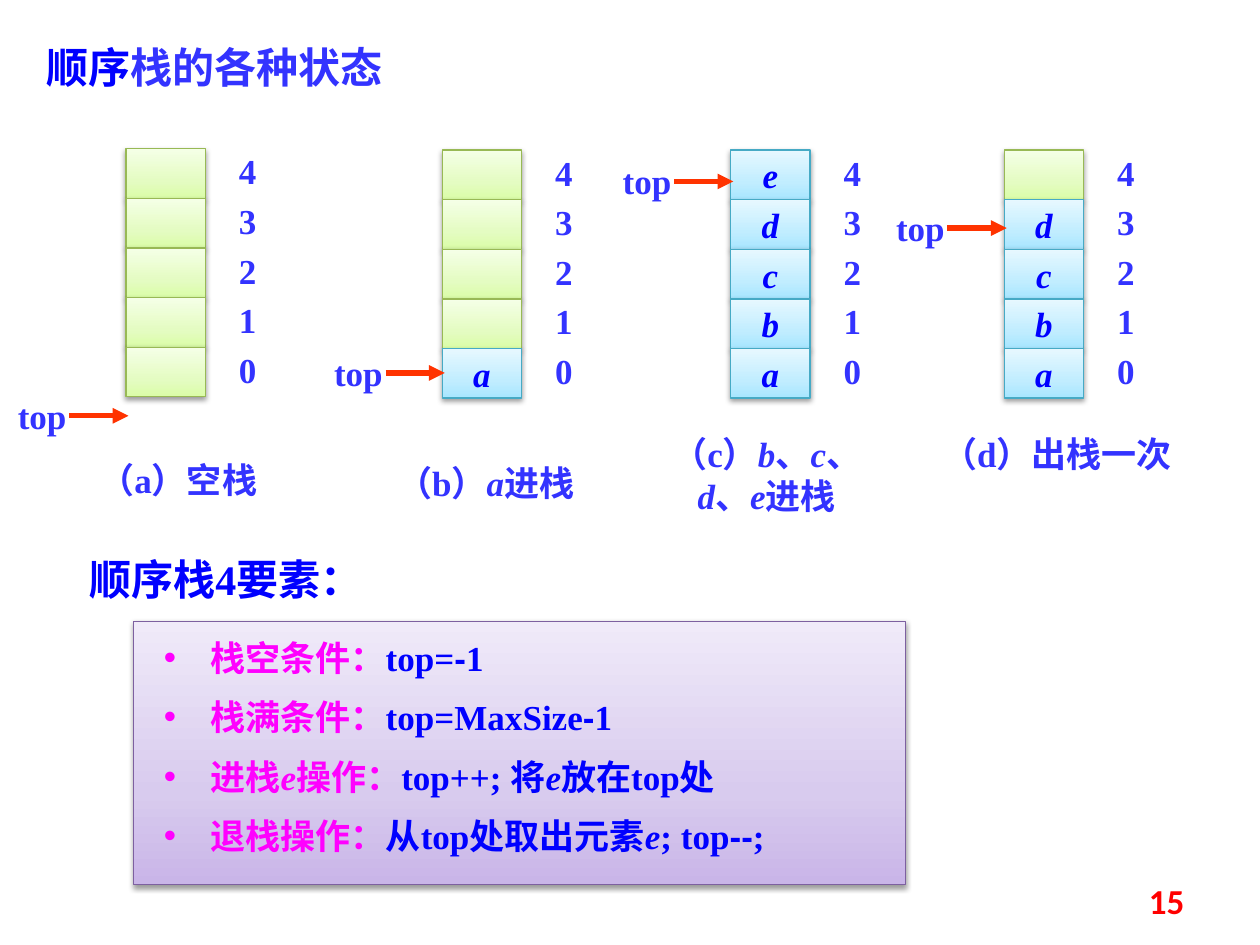
from lxml import etree
from pptx import Presentation
from pptx.dml.color import RGBColor
from pptx.enum.shapes import MSO_CONNECTOR as Connector, MSO_SHAPE as Shape
from pptx.enum.text import MSO_ANCHOR as Anchor, MSO_AUTO_SIZE as AutoSize, PP_ALIGN as Align
from pptx.oxml import parse_xml
from pptx.oxml.ns import nsdecls, qn
from pptx.util import Inches, Pt

BLUE = RGBColor(0x00, 0x00, 0xFF)
INDIGO = RGBColor(0x33, 0x33, 0xFF)
MAGENTA = RGBColor(0xFF, 0x00, 0xFF)
ORANGE = RGBColor(0xFF, 0x33, 0x00)
RED = RGBColor(0xFF, 0x00, 0x00)
# Each style: line colour, then gradient stops at 0, 35 and 100 percent
GREEN_STYLE = [RGBColor.from_string(c) for c in ("98B955", "DAFDA7", "E4FCC2", "F5FFE7")]
CYAN_STYLE = [RGBColor.from_string(c) for c in ("46AAC5", "A7E6FF", "C1EDFF", "E7F8FF")]
PURPLE_STYLE = [RGBColor.from_string(c) for c in ("7D60A0", "C9B5E8", "D8CBEE", "F0EAF9")]
SERIF = "Times New Roman"
HAN = "Noto Sans CJK SC"

deck = Presentation()
deck.slide_width, deck.slide_height = Inches(10), Inches(7.5)
page = deck.slides.add_slide(deck.slide_layouts[6])


def write(box, paragraphs, size=20, color=INDIGO, font=SERIF, bold=True,
          align=Align.CENTER, anchor=Anchor.TOP, insets=(0.1, 0.05), bullet=False,
          wrap=True, grow=True):
    """Fill a box; a paragraph is a list of (text, overrides) spans."""
    frame = box.text_frame
    frame.word_wrap = wrap
    frame.auto_size = AutoSize.SHAPE_TO_FIT_TEXT if grow else AutoSize.NONE
    frame.vertical_anchor = anchor
    frame.margin_left = frame.margin_right = Inches(insets[0])
    frame.margin_top = frame.margin_bottom = Inches(insets[1])
    for index, spans in enumerate(paragraphs):
        para = frame.add_paragraph() if index else frame.paragraphs[0]
        para.alignment = align
        if index:
            para.space_before = Pt(size / 2)
        if bullet:
            props = para._p.get_or_add_pPr()
            props.set("marL", str(Inches(0.37)))
            props.set("indent", str(-Inches(0.37)))
            etree.SubElement(props, qn("a:buFont")).set("typeface", "Arial")
            etree.SubElement(props, qn("a:buChar")).set("char", "•")
        for text, style in spans:
            span = para.add_run()
            span.text = text
            span.font.size = Pt(size)
            span.font.bold = bold
            span.font.italic = style.get("italic", False)
            span.font.name = style.get("font", font)
            span.font.color.rgb = style.get("color", color)
            etree.SubElement(span._r.get_or_add_rPr(), qn("a:ea")).set("typeface", HAN)


def add_panel(left, top, width, height, style):
    """Rectangle with an upward gradient and a soft shadow below it."""
    panel = page.shapes.add_shape(Shape.RECTANGLE, left, top, width, height)
    panel.line.color.rgb = style[0]
    panel.line.width = Pt(0.75)
    stops = "".join(f'<a:gs pos="{pos}000"><a:srgbClr val="{color}"/></a:gs>'
                    for pos, color in zip((0, 35, 100), style[1:]))
    props = panel._element.spPr
    props.find(qn("a:ln")).addprevious(parse_xml(
        f'<a:gradFill rotWithShape="1" {nsdecls("a")}><a:gsLst>{stops}</a:gsLst>'
        '<a:lin ang="16200000" scaled="0"/></a:gradFill>'))
    props.append(parse_xml(
        f'<a:effectLst {nsdecls("a")}><a:outerShdw blurRad="{Pt(3.1)}" dist="{Pt(1.6)}" '
        'dir="5400000" rotWithShape="0"><a:srgbClr val="000000"><a:alpha val="38000"/>'
        '</a:srgbClr></a:outerShdw></a:effectLst>'))
    return panel


italic = {"italic": True}
pink = {"color": MAGENTA}
minus = {"font": "Arial"}

# Four elements of the stack
box = page.shapes.add_textbox(Inches(0.47), Inches(4.27), Inches(2.81), Inches(0.64))
write(box, [[("顺序栈4要素：", {})]], size=24, color=BLUE, align=Align.LEFT, insets=(0.24, 0.12))
rules = [
    [("栈空条件：", pink), ("top=", {}), ("-", minus), ("1", {})],
    [("栈满条件：", pink), ("top=MaxSize", {}), ("-", minus), ("1", {})],
    [("进栈", pink), ("e", pink | italic), ("操作：", pink), ("top++; 将", {}),
     ("e", italic), ("放在top处", {})],
    [("退栈操作：", pink), ("从top处取出元素", {}), ("e", italic), ("; top", {}),
     ("--", minus), (";", {})],
]
panel = add_panel(Inches(1.06), Inches(4.93), Inches(6.13), Inches(2.09), PURPLE_STYLE)
write(panel, rules, color=BLUE, align=Align.LEFT, insets=(0.24, 0.12), bullet=True, grow=False)

# Title
box = page.shapes.add_textbox(Inches(0.27), Inches(0.28), Inches(3.4), Inches(0.5))
write(box, [[("顺序", {"color": BLUE}), ("栈的各种状态", {"font": HAN})]],
      size=24, align=Align.LEFT)

# Stack states: left, top, items from the bottom, arrow height, caption box, caption
SLOTS = 5
ROW = 1.97 / SLOTS
states = [
    (1, 1.18, "", 3.3, (0.63, 3.59, 1.57, 0.43), [("（a）空栈", {})]),
    (3.51, 1.19, "a", 2.96, (2.91, 3.61, 1.89, 0.43),
     [("（b）", {}), ("a", italic), ("进栈", {})]),
    (5.8, 1.19, "abcde", 1.44, (5.2, 3.38, 1.77, 0.77),
     [("（c）", {}), ("b", italic), ("、", {}), ("c", italic), ("、", {}),
      ("d", italic), ("、", {}), ("e", italic), ("进栈", {})]),
    (7.97, 1.19, "abcd", 1.81, (7.37, 3.38, 2.04, 0.43), [("（d）出栈一次", {})]),
]
for left, top, items, arrow_y, caption_box, caption in states:
    # Slots and their indices, from the top down
    for slot in reversed(range(SLOTS)):
        y = top + (SLOTS - 1 - slot) * ROW
        filled = slot < len(items)
        cell = add_panel(Inches(left), Inches(y), Inches(0.63), Inches(ROW),
                         CYAN_STYLE if filled else GREEN_STYLE)
        if filled:
            write(cell, [[(items[slot], italic)]], color=BLUE, anchor=Anchor.MIDDLE,
                  wrap=False, grow=False)
        box = page.shapes.add_textbox(Inches(left + 0.73), Inches(y - 0.04),
                                      Inches(0.47), Inches(0.43))
        write(box, [[(str(slot), {})]])

    # Top pointer
    arrow = page.shapes.add_connector(Connector.STRAIGHT, Inches(left - 0.45), Inches(arrow_y),
                                      Inches(left + 0.02), Inches(arrow_y))
    arrow.line.color.rgb = ORANGE
    arrow.line.width = Pt(3)
    etree.SubElement(arrow.line._get_or_add_ln(), qn("a:tailEnd")).set("type", "triangle")
    etree.SubElement(arrow._element.spPr, qn("a:effectLst"))
    box = page.shapes.add_textbox(Inches(left - 0.98), Inches(arrow_y - 0.22),
                                  Inches(0.63), Inches(0.43))
    write(box, [[("top", {})]])

    # Caption
    box = page.shapes.add_textbox(*(Inches(length) for length in caption_box))
    write(box, [caption])

# Page number
box = page.shapes.add_textbox(Inches(7.17), Inches(6.95), Inches(2.33), Inches(0.4))
write(box, [[("15", {})]], color=RED, font="Calibri", align=Align.RIGHT,
      anchor=Anchor.MIDDLE, grow=False)

deck.save("out.pptx")
